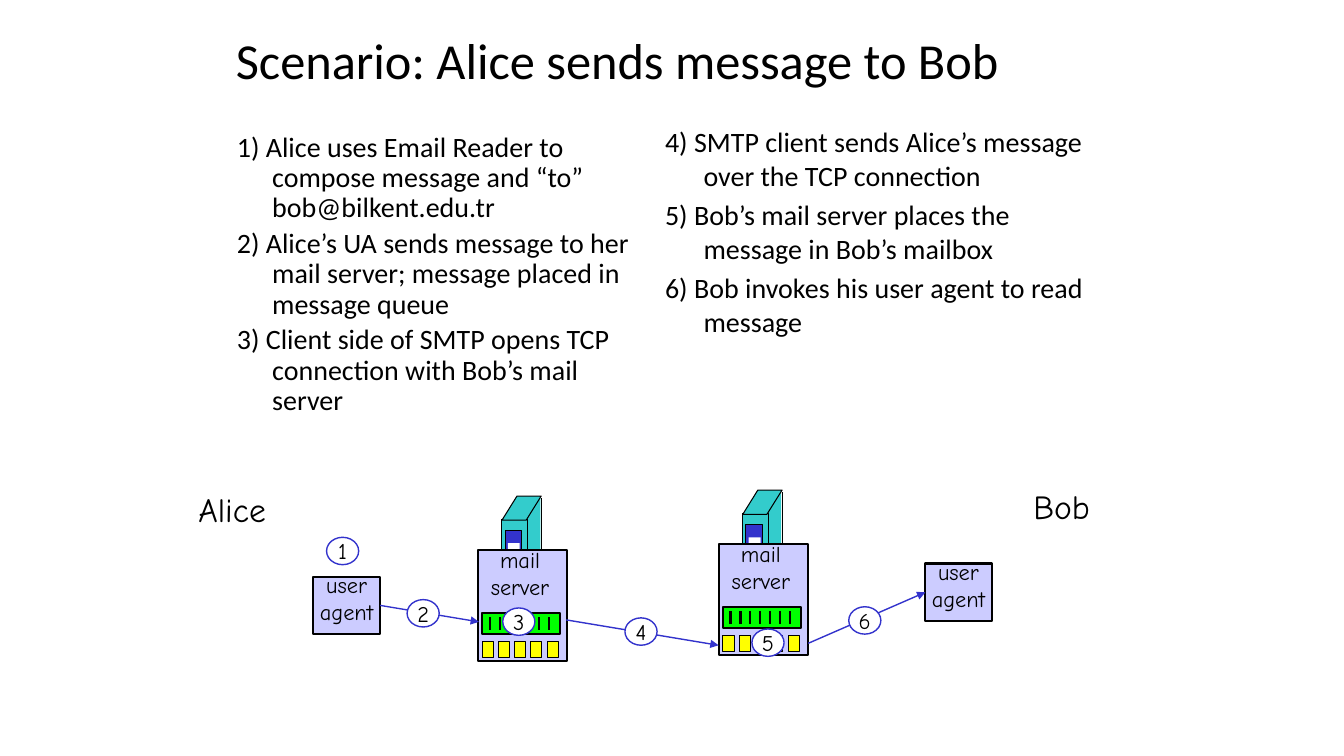
from lxml.etree import SubElement
from pptx import Presentation
from pptx.dml.color import RGBColor
from pptx.enum.shapes import MSO_CONNECTOR as Link, MSO_SHAPE as Shape
from pptx.enum.text import MSO_ANCHOR as Anchor, PP_ALIGN as Align
from pptx.oxml.ns import qn
from pptx.util import Cm, Pt

BLACK, WHITE, BLUE = "000000", "FFFFFF", "3333CC"
LILAC, TEAL, GREEN, YELLOW = "CCCCFF", "33CCCC", "00FF00", "FFFF00"


def colour(value):
    return RGBColor.from_string(value)


class Sketch:
    body_font = "Calibri"
    hand_font = "Comic Neue"

    def __init__(self, page):
        self.page = page
        self.canvas = page.shapes

    def start_group(self):
        self.canvas = self.page.shapes.add_group_shape().shapes

    def end_group(self):
        self.canvas = self.page.shapes

    def paint(self, shape, fill, line, weight):
        shape.shadow.inherit = False
        shape.fill.solid()
        shape.fill.fore_color.rgb = colour(fill)
        if line:
            shape.line.color.rgb = colour(line)
            shape.line.width = Pt(weight)
        else:
            shape.line.fill.background()
        return shape

    def block(self, left, top, width, height, fill, line=BLACK, weight=0.75, kind=Shape.RECTANGLE):
        shape = self.canvas.add_shape(kind, Cm(left), Cm(top), Cm(width), Cm(height))
        return self.paint(shape, fill, line, weight)

    def polygon(self, points, fill):
        corners = [(Cm(x), Cm(y)) for x, y in points]
        builder = self.canvas.build_freeform(*corners[0], scale=1.0)
        builder.add_line_segments(corners[1:], close=True)
        return self.paint(builder.convert_to_shape(), fill, BLACK, 0.75)

    def line(self, start, end, tint=BLACK, weight=0.75, arrow=False):
        x1, y1, x2, y2 = (Cm(value) for value in start + end)
        connector = self.canvas.add_connector(Link.STRAIGHT, x1, y1, x2, y2)
        connector.line.color.rgb = colour(tint)
        connector.line.width = Pt(weight)
        properties = connector._element.spPr
        if arrow:
            SubElement(properties.find(qn("a:ln")), qn("a:tailEnd"), type="triangle")
        SubElement(properties, qn("a:effectLst"))
        return connector

    def fill_text(self, frame, texts, size, font, align=Align.LEFT, hanging=0, before=0, spacing=None):
        for index, text in enumerate(texts):
            para = frame.paragraphs[0] if index == 0 else frame.add_paragraph()
            para.alignment = align
            para.line_spacing = spacing
            if index:
                para.space_before = Pt(before)
            if hanging:
                properties = para._p.get_or_add_pPr()
                properties.set("marL", str(Cm(hanging)))
                properties.set("indent", str(-Cm(hanging)))
            span = para.add_run()
            span.text = text
            span.font.name = font
            span.font.size = Pt(size)
            span.font.color.rgb = colour(BLACK)

    def strip_margins(self, frame):
        frame.margin_left = frame.margin_right = frame.margin_top = frame.margin_bottom = 0

    def title(self, text, left, top, width, height):
        box = self.page.shapes.title
        box.left, box.top, box.width, box.height = Cm(left), Cm(top), Cm(width), Cm(height)
        box.text_frame.vertical_anchor = Anchor.MIDDLE
        self.fill_text(box.text_frame, [text], 36, self.body_font, spacing=0.9)

    def steps(self, texts, left, top, width, height, hanging, spacing=None, margins=True):
        frame = self.canvas.add_textbox(Cm(left), Cm(top), Cm(width), Cm(height)).text_frame
        frame.word_wrap = True
        if not margins:
            self.strip_margins(frame)
        self.fill_text(frame, texts, 20, self.body_font, hanging=hanging, before=4, spacing=spacing)

    def label(self, texts, left, top, width, height, size=16, align=Align.CENTER):
        frame = self.canvas.add_textbox(Cm(left), Cm(top), Cm(width), Cm(height)).text_frame
        frame.word_wrap = False
        self.strip_margins(frame)
        self.fill_text(frame, texts, size, self.hand_font, align)

    def badge(self, number, left, top):
        oval = self.block(left, top, 0.81, 0.69, WHITE, BLUE, 1, Shape.OVAL)
        frame = oval.text_frame
        frame.word_wrap = False
        frame.vertical_anchor = Anchor.MIDDLE
        self.strip_margins(frame)
        self.fill_text(frame, [str(number)], 16, self.hand_font, Align.CENTER)

    def user_agent(self, left, top):
        self.start_group()
        box = self.block(left, top, 1.68, 1.45, LILAC, weight=1.5)
        self.label(["user", "agent"], left + 0.1, top - 0.13, 1.47, 1.37)
        self.end_group()
        return box

    def mail_server(self, left, top):
        self.start_group()
        self.block(left + 1.12, top - 1.35, 0.46, 1.98, TEAL, None)
        self.block(left + 0.61, top - 0.79, 0.64, 1.98, TEAL)
        roof = [(0.99, -1.37), (0.61, -0.76), (1.22, -0.76), (1.6, -1.37)]
        self.polygon([(left + x, top + y) for x, y in roof], TEAL)
        self.line((left + 1.6, top - 1.32), (left + 1.6, top + 0.64))
        self.block(left + 0.69, top - 0.51, 0.41, 1.14, BLUE)
        self.block(left + 0.76, top - 0.18, 0.3, 0.41, WHITE, None)
        self.block(left, top, 2.26, 2.79, LILAC, weight=1.5)
        self.label(["mail", "server"], left + 0.2, top - 0.1, 1.73, 1.37)
        self.block(left + 0.1, top + 1.57, 1.98, 0.53, GREEN, weight=1.5)
        for slot in range(7):
            x = left + 0.3 + 0.25 * slot
            self.line((x, top + 1.68), (x, top + 2.01), weight=1.5)
        for mailbox in range(5):
            self.block(left + 0.11 + 0.41 * mailbox, top + 2.3, 0.28, 0.41, YELLOW)
        self.end_group()


def main():
    deck = Presentation()
    deck.slide_width, deck.slide_height = Cm(33.87), Cm(19.05)
    sketch = Sketch(deck.slides.add_slide(deck.slide_layouts[5]))

    sketch.title("Scenario: Alice sends message to Bob", 5.69, 0, 22.89, 3.17)
    sketch.steps([
        "1) Alice uses Email Reader to compose message and “to” bob@bilkent.edu.tr",
        "2) Alice’s UA sends message to her mail server; message placed in message queue",
        "3) Client side of SMTP opens TCP connection with Bob’s mail server",
    ], 5.72, 3.23, 10.59, 8.94, hanging=0.89, spacing=0.9)
    sketch.steps([
        "4) SMTP client sends Alice’s message over the TCP connection",
        "5) Bob’s mail server places the message in Bob’s mailbox",
        "6) Bob invokes his user agent to read message",
    ], 16.76, 3.15, 10.59, 5.41, hanging=0.97, margins=False)

    alice_agent = sketch.user_agent(7.9, 14.53)
    sketch.mail_server(12.04, 13.87)
    sketch.mail_server(18.11, 13.72)
    bob_agent = sketch.user_agent(23.32, 14.2)

    upload = sketch.line((9.58, 15.26), (12.07, 15.67), BLUE, 1, arrow=True)
    upload.begin_connect(alice_agent, 3)
    sketch.line((14.27, 15.62), (18.11, 16.26), BLUE, 1, arrow=True)
    reading = sketch.line((20.37, 16.21), (23.32, 14.93), BLUE, 1, arrow=True)
    reading.end_connect(bob_agent, 1)

    badges = [(8.23, 13.54), (10.26, 15.11), (12.67, 15.32),
              (15.75, 15.57), (18.95, 15.85), (21.39, 15.29)]
    for number, (left, top) in enumerate(badges, 1):
        sketch.badge(number, left, top)

    sketch.label(["Alice"], 5, 12.32, 2.01, 1.02, 24, Align.LEFT)
    sketch.label(["Bob"], 26.04, 12.24, 1.5, 1.02, 24, Align.LEFT)
    deck.save("out.pptx")


if __name__ == "__main__":
    main()
